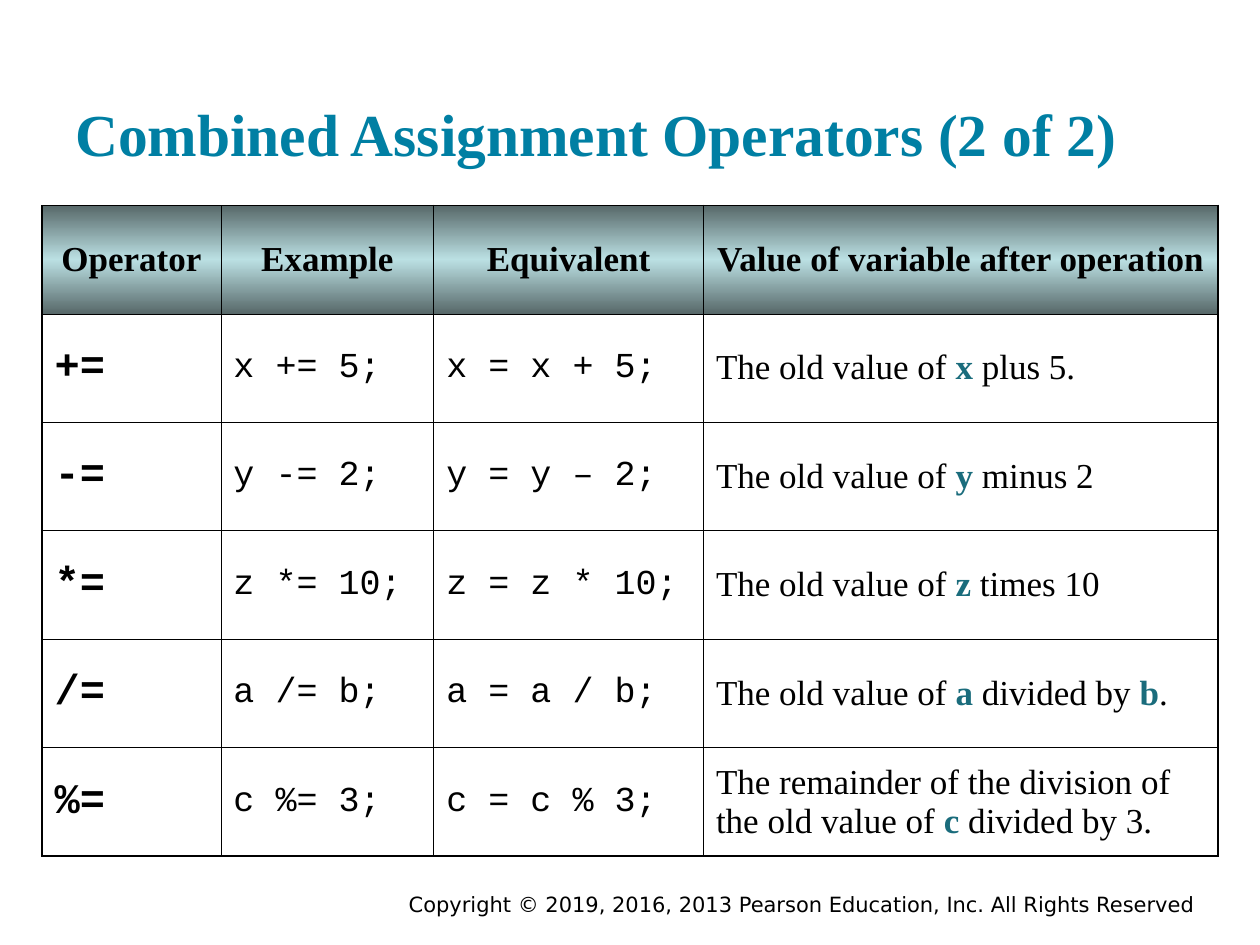
from lxml.etree import SubElement
from pptx import Presentation
from pptx.dml.color import RGBColor
from pptx.enum.text import MSO_ANCHOR, PP_ALIGN
from pptx.oxml.ns import qn
from pptx.util import Pt

BLACK, TITLE_BLUE, VARIABLE_TEAL = "000000", "007FA3", "1A6C7C"
HEADER_STOPS = [(0, "576869"), (50, "BBE0E3"), (100, "576869")]
SERIF, MONO, SANS = "Times New Roman", "Courier New", "DejaVu Sans"
THIN, THICK = 0.45, 1.08
COLUMN_WIDTHS = [102.24, 121.68, 154.08, 294]
ROW_HEIGHT = 62
HEADINGS = ["Operator", "Example", "Equivalent", "Value of variable after operation"]
OPERATORS = [
    ("+=", "x += 5;", "x = x + 5;", ["The old value of ", "x", " plus 5."]),
    ("-=", "y -= 2;", "y = y – 2;", ["The old value of ", "y", " minus 2"]),
    ("*=", "z *= 10;", "z = z * 10;", ["The old value of ", "z", " times 10"]),
    ("/=", "a /= b;", "a = a / b;", ["The old value of ", "a", " divided by ", "b", "."]),
    ("%=", "c %= 3;", "c = c % 3;",
     ["The remainder of the division of the old value of ", "c", " divided by 3."]),
]


def rgb(value):
    """Turn a hex string into a colour."""
    return RGBColor.from_string(value)


def add_run(paragraph, text, font, size, color=BLACK, bold=False):
    """Append a formatted run to a paragraph."""
    run = paragraph.add_run()
    run.text = text
    run.font.name = font
    run.font.size = Pt(size)
    run.font.bold = bold
    run.font.color.rgb = rgb(color)


def add_text(slide, bounds, text, font, size, color, bold, anchor, align):
    """Place one line of text in a box."""
    frame = slide.shapes.add_textbox(*map(Pt, bounds)).text_frame
    frame.word_wrap = True
    frame.vertical_anchor = anchor
    frame.paragraphs[0].alignment = align
    add_run(frame.paragraphs[0], text, font, size, color, bold)
    return frame


def add_color(parent, value):
    """Append a hex colour element."""
    SubElement(parent, qn("a:srgbClr"), val=value)


def set_borders(cell, left, right, top, bottom):
    """Draw the four black borders of a cell with the given widths."""
    properties = cell._tc.get_or_add_tcPr()
    for side, width in zip("LRTB", (left, right, top, bottom)):
        border = SubElement(properties, qn(f"a:ln{side}"), w=str(Pt(width)))
        add_color(SubElement(border, qn("a:solidFill")), BLACK)


def fill_header(cell):
    """Give a heading cell its vertical gradient."""
    gradient = SubElement(cell._tc.get_or_add_tcPr(), qn("a:gradFill"))
    stops = SubElement(gradient, qn("a:gsLst"))
    for percent, value in HEADER_STOPS:
        add_color(SubElement(stops, qn("a:gs"), pos=str(percent * 1000)), value)
    SubElement(gradient, qn("a:lin"), ang="5400000", scaled="0")


def write_heading(cell, heading):
    """Write a centred heading on its gradient."""
    fill_header(cell)
    paragraph = cell.text_frame.paragraphs[0]
    paragraph.alignment = PP_ALIGN.CENTER
    add_run(paragraph, heading, SERIF, 20, bold=True)


def write_body(cell, column, content):
    """Write an operator, a statement or a description with bold variables."""
    cell.fill.background()
    paragraph = cell.text_frame.paragraphs[0]
    if column == 0:
        add_run(paragraph, content, MONO, 24, bold=True)
    elif column < 3:
        add_run(paragraph, content, MONO, 20)
    else:
        for position, part in enumerate(content):
            is_variable = position % 2 == 1
            add_run(paragraph, part, SERIF, 20, VARIABLE_TEAL if is_variable else BLACK, is_variable)


def add_operator_table(slide):
    """Build the table of combined assignment operators."""
    rows = [HEADINGS, *OPERATORS]
    last_row, last_column = len(rows) - 1, len(HEADINGS) - 1
    table = slide.shapes.add_table(
        len(rows), len(HEADINGS), Pt(24), Pt(117.36),
        Pt(sum(COLUMN_WIDTHS)), Pt(ROW_HEIGHT * len(rows))).table
    table.first_row = table.horz_banding = False
    for column, width in zip(table.columns, COLUMN_WIDTHS):
        column.width = Pt(width)
    for r, contents in enumerate(rows):
        table.rows[r].height = Pt(ROW_HEIGHT)
        for c, content in enumerate(contents):
            cell = table.cell(r, c)
            cell.vertical_anchor = MSO_ANCHOR.MIDDLE
            set_borders(cell,
                        left=THICK if c == 0 else THIN,
                        right=THICK if c == last_column else THIN,
                        top=THICK if r == 0 and c > 0 else THIN,
                        bottom=THICK if r == last_row else THIN)
            if r == 0:
                write_heading(cell, content)
            else:
                write_body(cell, c, content)


def main():
    """Create the slide and save it."""
    deck = Presentation()
    deck.slide_width, deck.slide_height = Pt(720), Pt(540)
    slide = deck.slides.add_slide(deck.slide_layouts[6])
    add_text(slide, (126, 506, 564, 16),
             "Copyright © 2019, 2016, 2013 Pearson Education, Inc. All Rights Reserved",
             SANS, 12, BLACK, False, MSO_ANCHOR.TOP, PP_ALIGN.RIGHT)
    title = add_text(slide, (36, 17.28, 648, 86.4), "Combined Assignment Operators (2 of 2)",
                     SERIF, 34, TITLE_BLUE, True, MSO_ANCHOR.BOTTOM, PP_ALIGN.LEFT)
    title.margin_top = title.margin_bottom = Pt(7.2)
    add_operator_table(slide)
    deck.save("out.pptx")


if __name__ == "__main__":
    main()
